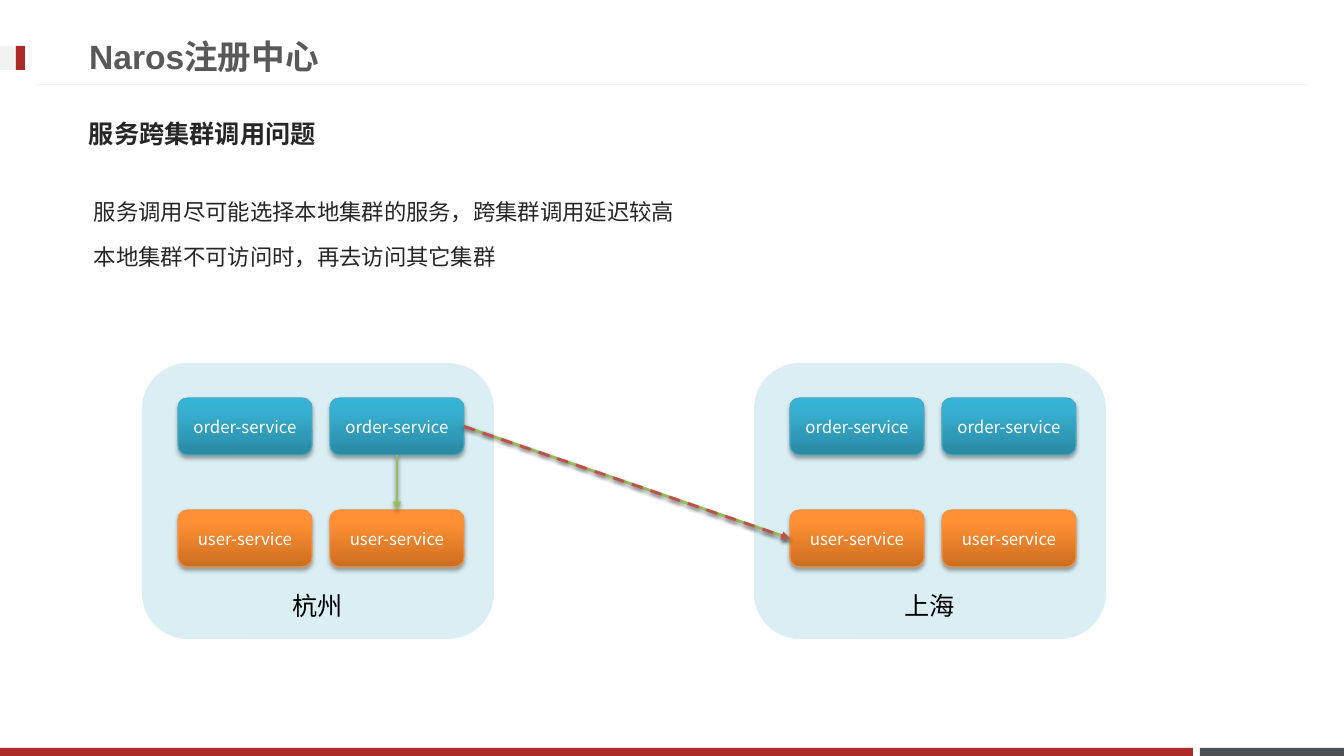
from dataclasses import dataclass

from lxml.etree import SubElement
from pptx import Presentation
from pptx.dml.color import RGBColor
from pptx.enum.dml import MSO_LINE
from pptx.enum.shapes import MSO_CONNECTOR, MSO_SHAPE
from pptx.enum.text import MSO_ANCHOR, PP_ALIGN
from pptx.oxml.ns import qn
from pptx.shapes.autoshape import Shape
from pptx.shapes.connector import Connector
from pptx.util import Emu, Pt

EMU_PER_PIXEL = 914400 / 100.8
CJK_FONT = "Noto Sans CJK JP"
TOP, LEFT, BOTTOM, RIGHT = range(4)  # connection sites of a box


@dataclass(frozen=True)
class Box:
    left: int
    top: int
    width: int
    height: int

    def emu(self) -> tuple[Emu, ...]:
        return tuple(px(n) for n in (self.left, self.top, self.width, self.height))


@dataclass(frozen=True)
class TextStyle:
    font: str
    size: int
    color: str
    bold: bool = False
    align: PP_ALIGN = PP_ALIGN.LEFT
    anchor: MSO_ANCHOR = MSO_ANCHOR.MIDDLE
    line_spacing: float | None = None
    space_before: float = 0


@dataclass(frozen=True)
class Service:
    name: str
    gradient: tuple[tuple[int, str], ...]
    outline: str


@dataclass(frozen=True)
class Cluster:
    city: str
    left: int


def px(pixels: int) -> Emu:
    return Emu(round(pixels * EMU_PER_PIXEL))


def rgb(color: str) -> RGBColor:
    return RGBColor.from_string(color)


def write(shape: Shape, lines: list[str], style: TextStyle) -> None:
    frame = shape.text_frame
    frame.word_wrap = True
    frame.vertical_anchor = style.anchor
    frame.text = "\n".join(lines)
    for paragraph in frame.paragraphs:
        paragraph.alignment = style.align
        paragraph.line_spacing = style.line_spacing
        paragraph.space_before = Pt(style.space_before)
        font = paragraph.font
        font.name, font.size, font.bold = style.font, Pt(style.size), style.bold
        font.color.rgb = rgb(style.color)


def add_box(kind: MSO_SHAPE, box: Box, fill: str) -> Shape:
    shape = slide.shapes.add_shape(kind, *box.emu())
    shape.shadow.inherit = False
    shape.fill.solid()
    shape.fill.fore_color.rgb = rgb(fill)
    shape.line.fill.background()
    return shape


def add_text(box: Box, lines: list[str], style: TextStyle) -> None:
    write(slide.shapes.add_textbox(*box.emu()), lines, style)


def add_shadow(shape: Shape | Connector, distance: float, opacity: int) -> None:
    properties = shape._element.spPr
    for old in properties.findall(qn("a:effectLst")):
        properties.remove(old)
    effects = SubElement(properties, qn("a:effectLst"))
    shadow = SubElement(effects, qn("a:outerShdw"), blurRad=str(Pt(3.1)),
                        dist=str(Pt(distance)), dir="5400000", rotWithShape="0")
    color = SubElement(shadow, qn("a:srgbClr"), val="000000")
    SubElement(color, qn("a:alpha"), val=str(opacity * 1000))


def add_service(service: Service, box: Box) -> Shape:
    shape = add_box(MSO_SHAPE.ROUNDED_RECTANGLE, box, service.outline)
    shape.fill.gradient()
    shape.fill.gradient_angle = 90
    stops = shape._element.spPr.find(qn("a:gradFill")).find(qn("a:gsLst"))
    for old in list(stops):
        stops.remove(old)
    for position, color in service.gradient:
        stop = SubElement(stops, qn("a:gs"), pos=str(position * 1000))
        SubElement(stop, qn("a:srgbClr"), val=color)
    shape.line.color.rgb = rgb(service.outline)
    shape.line.width = Pt(0.75)
    add_shadow(shape, 1.8, 35)
    write(shape, [service.name], SERVICE_STYLE)
    return shape


def add_call(source: Shape, source_site: int, target: Shape, target_site: int,
             color: str, dashed: bool = False) -> None:
    call = slide.shapes.add_connector(MSO_CONNECTOR.STRAIGHT, 0, 0, 0, 0)
    call.begin_connect(source, source_site)
    call.end_connect(target, target_site)
    call.line.color.rgb = rgb(color)
    call.line.width = Pt(2)
    if dashed:
        call.line.dash_style = MSO_LINE.DASH
    SubElement(call.line._get_or_add_ln(), qn("a:tailEnd"), type="triangle")
    add_shadow(call, 1.6, 38)


TITLE_STYLE = TextStyle("Arial", 24, "595959", bold=True)
SUBTITLE_STYLE = TextStyle(CJK_FONT, 18, "262626", bold=True)
BODY_STYLE = TextStyle("Lato", 16, "262626", anchor=MSO_ANCHOR.TOP,
                       line_spacing=1.5, space_before=3.2)
CITY_STYLE = TextStyle("DejaVu Sans Mono", 18, "000000",
                       align=PP_ALIGN.CENTER, anchor=MSO_ANCHOR.BOTTOM)
SERVICE_STYLE = TextStyle(CJK_FONT, 12, "FFFFFF", align=PP_ALIGN.CENTER)

ORDER = Service("order-service", ((0, "2A88A2"), (80, "37B1D2"), (100, "34B4D6")), "46AAC5")
USER = Service("user-service", ((0, "CC6E20"), (80, "FF9034"), (100, "FF9136")), "F69240")
CLUSTERS = [Cluster("杭州", 142), Cluster("上海", 754)]
CLUSTER_TOP = 363
COLUMN_STEP, ROW_STEP = 152, 112

presentation = Presentation()
presentation.slide_width, presentation.slide_height = px(1344), px(756)
slide = presentation.slides.add_slide(presentation.slide_layouts[5])

# Footer bars and title mark
for bar, color in [
    (Box(1200, 748, 144, 8), "49504F"),
    (Box(0, 748, 1193, 8), "AD2B26"),
    (Box(0, 46, 25, 24), "F2F2F2"),
    (Box(16, 46, 9, 24), "AD2B26"),
]:
    add_box(MSO_SHAPE.RECTANGLE, bar, color)

# Rule under the title
rule = slide.shapes.add_connector(MSO_CONNECTOR.STRAIGHT, px(1308), px(85), px(36), px(85))
rule.line.color.rgb = rgb("F2F2F2")
rule.line.width = Pt(0.75)
SubElement(rule._element.spPr, qn("a:effectLst"))

# Title, subtitle and explanation
title = slide.shapes.title
title.left, title.top, title.width, title.height = Box(79, 27, 967, 58).emu()
write(title, ["Naros注册中心"], TITLE_STYLE)
add_text(Box(79, 104, 1185, 58), ["服务跨集群调用问题"], SUBTITLE_STYLE)
add_text(Box(84, 180, 1092, 127),
         ["服务调用尽可能选择本地集群的服务，跨集群调用延迟较高",
          "本地集群不可访问时，再去访问其它集群"], BODY_STYLE)

# Clusters, each with two order services above two user services
services: dict[tuple[str, str, int], Shape] = {}
for cluster in CLUSTERS:
    area = add_box(MSO_SHAPE.ROUNDED_RECTANGLE,
                   Box(cluster.left, CLUSTER_TOP, 352, 276), "DBEEF4")
    write(area, [cluster.city], CITY_STYLE)
    for row, service in enumerate([ORDER, USER]):
        for column in range(2):
            box = Box(cluster.left + 36 + column * COLUMN_STEP,
                      CLUSTER_TOP + 35 + row * ROW_STEP, 134, 57)
            services[cluster.city, service.name, column] = add_service(service, box)

# Local call, then the call across clusters with its dashed overlay
caller = services["杭州", ORDER.name, 1]
local_user = services["杭州", USER.name, 1]
remote_user = services["上海", USER.name, 0]
add_call(caller, BOTTOM, local_user, TOP, "9BBB59")
add_call(caller, RIGHT, remote_user, LEFT, "9BBB59")
add_call(caller, RIGHT, remote_user, LEFT, "C0504D", dashed=True)

presentation.save("out.pptx")
